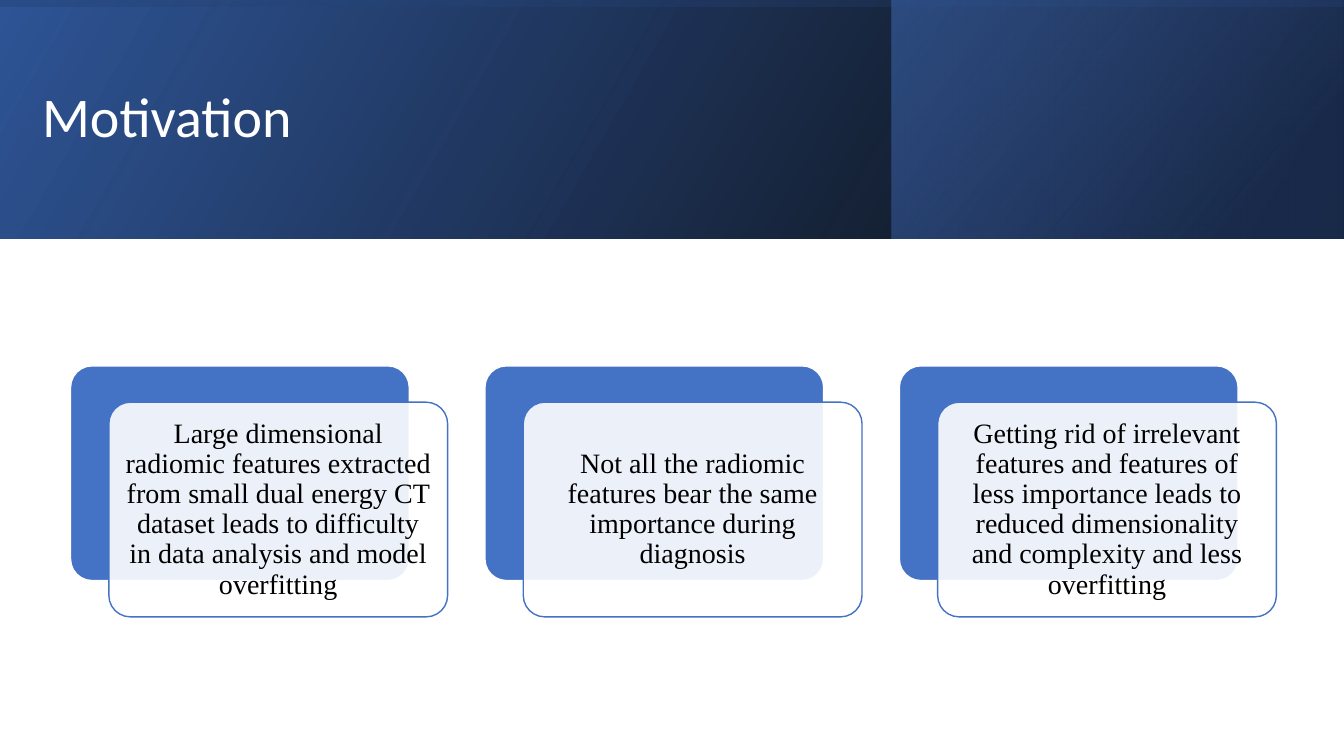
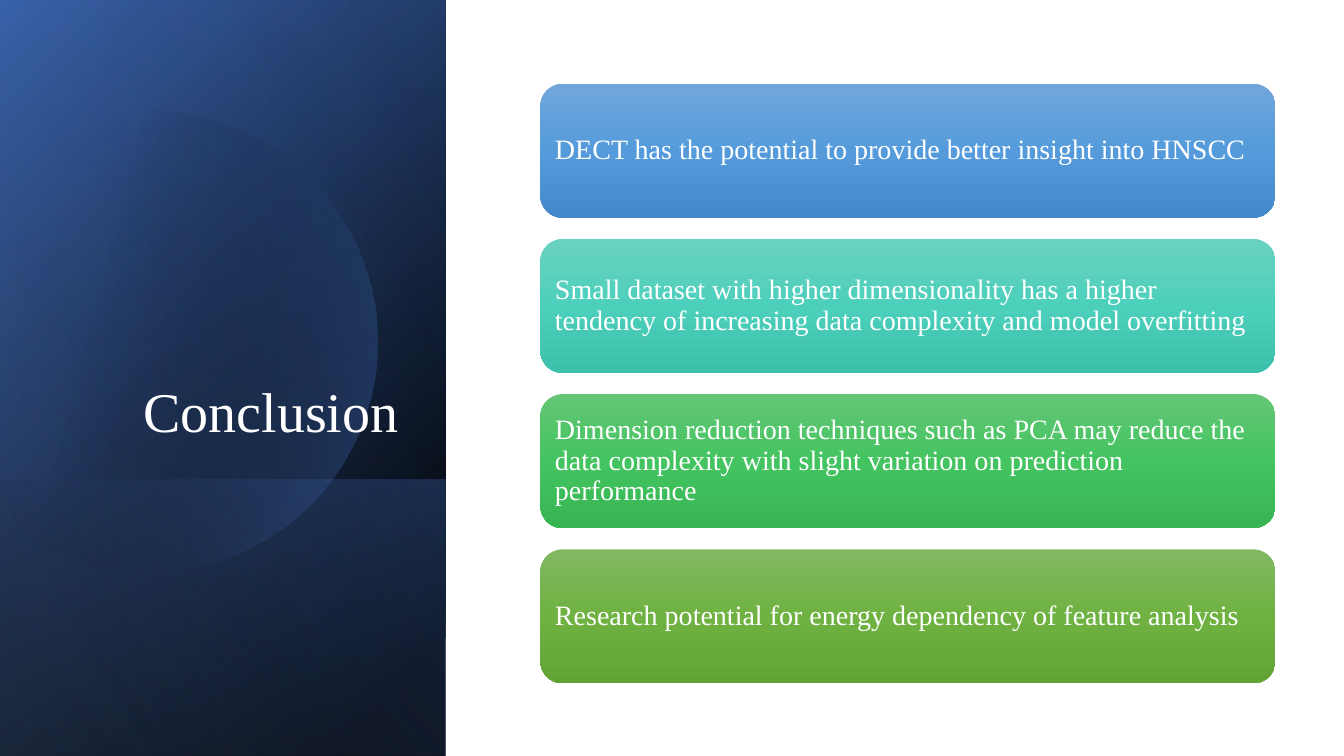
"""Build the Motivation and Conclusion slides with gradient panels and text cards."""
from math import acos, cos, sin

from lxml.etree import SubElement
from pptx import Presentation
from pptx.dml.color import RGBColor
from pptx.enum.shapes import MSO_SHAPE as Shape
from pptx.enum.text import MSO_ANCHOR as Anchor, PP_ALIGN as Align
from pptx.oxml.ns import qn
from pptx.util import Inches, Pt

WHITE = RGBColor(0xFF, 0xFF, 0xFF)
BLACK = RGBColor(0x00, 0x00, 0x00)
BLUE = RGBColor(0x44, 0x72, 0xC4)
DEEP_BLUE = RGBColor(0x2F, 0x55, 0x97)
NAVY = RGBColor(0x20, 0x38, 0x64)
PALE_BLUE = RGBColor(0x8F, 0xAA, 0xDC)
SERIF = "Times New Roman"
SANS = "Calibri"

MOTIVATIONS = [
    "Large dimensional radiomic features extracted from small dual energy CT "
    "dataset leads to difficulty in data analysis and model overfitting",
    "Not all the radiomic features bear the same importance during diagnosis",
    "Getting rid of irrelevant features and features of less importance leads to "
    "reduced dimensionality and complexity and less overfitting",
]
CONCLUSIONS = [
    ("DECT has the potential to provide better insight into HNSCC",
     ("71A6DB", "559BDB", "448ACA")),
    ("Small dataset with higher dimensionality has a higher tendency of "
     "increasing data complexity and model overfitting",
     ("6AD1C0", "4CD0BC", "3CC0AC")),
    ("Dimension reduction techniques such as PCA may reduce the data complexity "
     "with slight variation on prediction performance",
     ("64C677", "44C460", "36B552")),
    ("Research potential for energy dependency of feature analysis",
     ("81B861", "6FB242", "62A336")),
]


def set_opacity(color_element, percent):
    """Give a colour element an opacity in percent."""
    SubElement(color_element, qn("a:alpha")).set("val", str(percent * 1000))


def fill_gradient(shape, stops, angle):
    """Fill with (position, colour, opacity) stops along a clockwise angle."""
    shape.fill.gradient()
    gradient = shape._element.spPr.find(qn("a:gradFill"))
    for child in list(gradient):
        gradient.remove(child)
    gradient.set("rotWithShape", "1")
    stop_list = SubElement(gradient, qn("a:gsLst"))
    for position, color, opacity in stops:
        stop = SubElement(stop_list, qn("a:gs"), pos=str(position * 1000))
        color_element = SubElement(stop, qn("a:srgbClr"), val=str(color))
        if opacity < 100:
            set_opacity(color_element, opacity)
    SubElement(gradient, qn("a:lin"), ang=str(angle * 60000), scaled="0")


def add_box(slide, kind, left, top, width, height):
    """Add a preset shape without shadow or outline."""
    shape = slide.shapes.add_shape(
        kind, Inches(left), Inches(top), Inches(width), Inches(height))
    shape.shadow.inherit = False
    shape.line.fill.background()
    return shape


def add_panel(slide, left, top, width, height, stops, angle, rotation=0):
    """Add a mirrored rectangle with a gradient."""
    panel = add_box(slide, Shape.RECTANGLE, left, top, width, height)
    panel.rotation = rotation
    panel._element.spPr.find(qn("a:xfrm")).set("flipH", "1")
    fill_gradient(panel, stops, angle)


def write_text(shape, text, *, size=20, font=SERIF, color=WHITE,
               align=Align.LEFT, anchor=Anchor.MIDDLE, margin=None):
    """Write one formatted paragraph into a shape."""
    frame = shape.text_frame
    frame.word_wrap = True
    frame.vertical_anchor = anchor
    if margin is not None:
        frame.margin_left = frame.margin_right = Inches(margin)
        frame.margin_top = frame.margin_bottom = Inches(margin)
    paragraph = frame.paragraphs[0]
    paragraph.alignment = align
    paragraph.line_spacing = 0.9
    run = paragraph.add_run()
    run.text = text
    run.font.size = Pt(size)
    run.font.name = font
    run.font.color.rgb = color


def add_title(slide, text, left, top, width, height, **text_format):
    """Add a slide title."""
    title = slide.shapes.add_textbox(
        Inches(left), Inches(top), Inches(width), Inches(height))
    write_text(title, text, size=40, **text_format)


def add_layered_card(slide, text, left, top):
    """Add a blue card with an offset translucent text card on it."""
    width, height = 3.36, 2.13
    back = add_box(slide, Shape.ROUNDED_RECTANGLE, left, top, width, height)
    front = add_box(slide, Shape.ROUNDED_RECTANGLE,
                    left + 0.38, top + 0.36, width, height)
    for card, fill, line in ((back, BLUE, WHITE), (front, WHITE, BLUE)):
        card.adjustments[0] = 0.1
        card.fill.solid()
        card.fill.fore_color.rgb = fill
        card.line.color.rgb = line
        card.line.width = Pt(1)
    set_opacity(front._element.spPr.find(qn("a:solidFill")).find(qn("a:srgbClr")), 90)
    write_text(front, text, color=BLACK, align=Align.CENTER, margin=0.08)


def add_gradient_card(slide, text, colors, top):
    """Add a rounded card with a vertical three-colour gradient."""
    card = add_box(slide, Shape.ROUNDED_RECTANGLE, 5.36, top, 7.29, 1.33)
    stops = [(50 * index, color, 100) for index, color in enumerate(colors)]
    fill_gradient(card, stops, 90)
    write_text(card, text, margin=0.08)


def add_clipped_circle(slide, center_x, center_y, radius):
    """Add a translucent circle cut off at the left slide edge."""
    limit = acos(-center_x / radius)
    steps = 120
    angles = [limit * (2 * step / steps - 1) for step in range(steps + 1)]
    points = [(Inches(center_x + radius * cos(angle)),
               Inches(center_y + radius * sin(angle))) for angle in angles]
    builder = slide.shapes.build_freeform(*points[0])
    builder.add_line_segments(points[1:], close=True)
    circle = builder.convert_to_shape()
    circle.shadow.inherit = False
    circle.line.fill.background()
    fill_gradient(circle, [(29, BLACK, 0), (100, BLUE, 43)], 14)


def build_motivation(slide):
    """Build the slide with a top band and three layered cards."""
    add_panel(slide, 0, 0, 13.33, 2.37,
              [(0, BLACK, 96), (100, DEEP_BLUE, 100)], 330)
    add_panel(slide, 8.84, 0, 4.48, 2.37, [(19, NAVY, 68), (100, BLUE, 48)], 320)
    add_panel(slide, 5.48, -5.48, 2.37, 13.33,
              [(23, DEEP_BLUE, 16), (99, BLACK, 45)], 350, rotation=270)
    add_title(slide, "Motivation", 0.32, 0.32, 10.63, 1.72, font=SANS)
    for index, text in enumerate(MOTIVATIONS):
        add_layered_card(slide, text, 0.7 + 4.11 * index, 3.63)


def build_conclusion(slide):
    """Build the slide with a side band and four gradient cards."""
    side_band = (-1.54, 1.54, 7.5, 4.42)
    add_panel(slide, *side_band, [(8, BLACK, 100), (100, DEEP_BLUE, 100)], 50, rotation=90)
    add_panel(slide, *side_band, [(0, BLACK, 0), (99, BLUE, 46)], 30, rotation=90)
    add_panel(slide, 0.84, 3.92, 2.74, 4.42,
              [(2, BLUE, 29), (100, BLACK, 30)], 130, rotation=90)
    add_clipped_circle(slide, 1.45, 3.39, 2.29)
    add_panel(slide, *side_band, [(0, BLACK, 0), (99, PALE_BLUE, 11)], 120, rotation=90)
    add_title(slide, "Conclusion", 0.64, 1.84, 3.41, 2.62,
              align=Align.RIGHT, anchor=Anchor.BOTTOM)
    for index, (text, colors) in enumerate(CONCLUSIONS):
        add_gradient_card(slide, text, colors, 0.83 + 1.54 * index)


def main():
    """Create and save the presentation."""
    presentation = Presentation()
    presentation.slide_width = Inches(13.33)
    presentation.slide_height = Inches(7.5)
    blank_layout = presentation.slide_layouts[6]
    for build_slide in (build_motivation, build_conclusion):
        build_slide(presentation.slides.add_slide(blank_layout))
    presentation.save("out.pptx")


if __name__ == "__main__":
    main()
